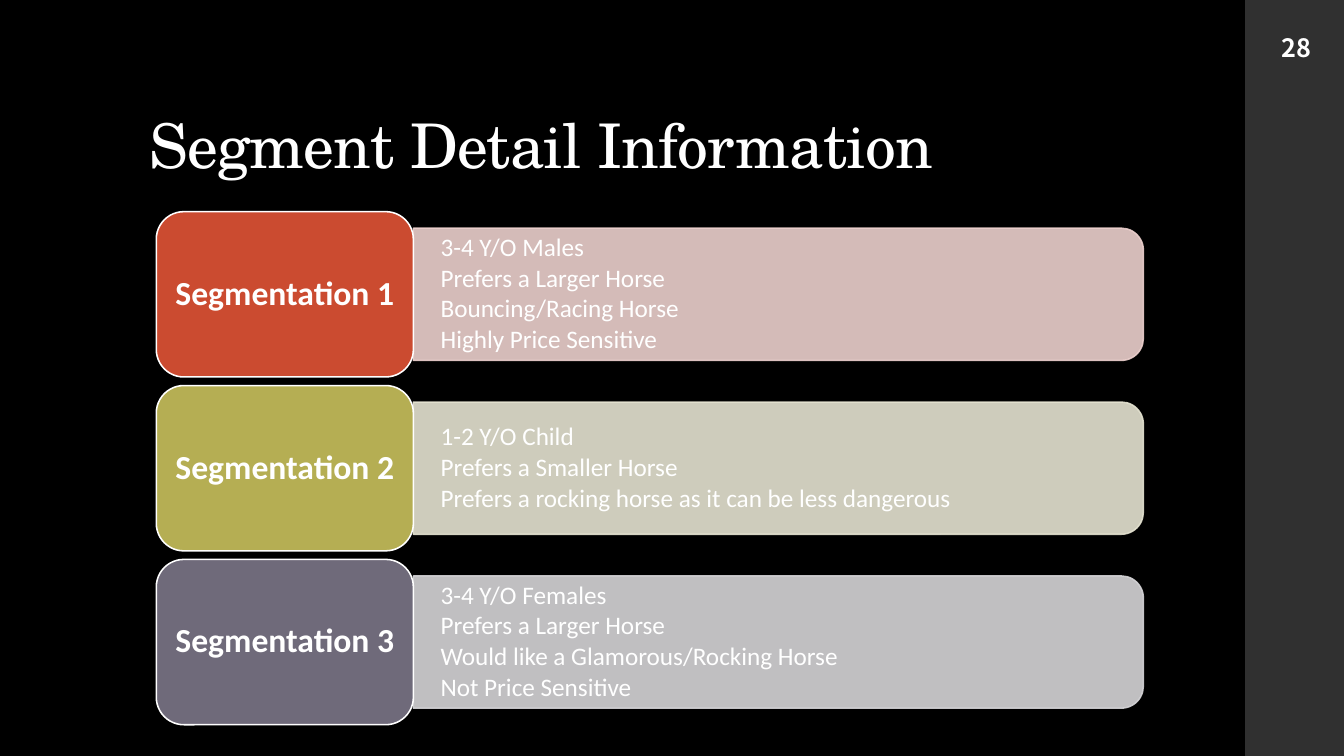
from lxml import etree
from pptx import Presentation
from pptx.dml.color import RGBColor
from pptx.enum.shapes import MSO_SHAPE
from pptx.enum.text import MSO_ANCHOR, PP_ALIGN
from pptx.oxml.ns import qn
from pptx.util import Inches, Pt

RECT = MSO_SHAPE.RECTANGLE
ROUND = MSO_SHAPE.ROUNDED_RECTANGLE
TAB = MSO_SHAPE.ROUND_2_SAME_RECTANGLE
TOP, MIDDLE, BOTTOM = MSO_ANCHOR.TOP, MSO_ANCHOR.MIDDLE, MSO_ANCHOR.BOTTOM
LEFT, CENTER = PP_ALIGN.LEFT, PP_ALIGN.CENTER
WHITE = "FFFFFF"

SEGMENTS = [
    ("Segmentation 1", "CB4B30", "ECD0CD",
     ["3-4 Y/O Males", "Prefers a Larger Horse",
      "Bouncing/Racing Horse", "Highly Price Sensitive"]),
    ("Segmentation 2", "B5AE53", "E5E3D1",
     ["1-2 Y/O Child", "Prefers a Smaller Horse",
      "Prefers a rocking horse as it can be less dangerous"]),
    ("Segmentation 3", "6F6A7A", "D5D4D7",
     ["3-4 Y/O Females", "Prefers a Larger Horse",
      "Would like a Glamorous/Rocking Horse", "Not Price Sensitive"]),
]


def color(code):
    return RGBColor.from_string(code)


def add_box(slide, kind, left, top, width, height, fill, line=None):
    shape = slide.shapes.add_shape(kind, Inches(left), Inches(top),
                                   Inches(width), Inches(height))
    shape.shadow.inherit = False
    shape.fill.solid()
    shape.fill.fore_color.rgb = color(fill)
    if line:
        shape.line.color.rgb = color(line)
        shape.line.width = Pt(1.1)
    else:
        shape.line.fill.background()
    return shape


def add_frame(slide, left, top, width, height):
    return slide.shapes.add_textbox(Inches(left), Inches(top), Inches(width),
                                    Inches(height)).text_frame


def write(frame, lines, size, font="Calibri", bold=False, align=LEFT,
          anchor=MIDDLE, after=0, space=0.9):
    frame.word_wrap = True
    frame.vertical_anchor = anchor
    for i, line in enumerate(lines):
        para = frame.paragraphs[0] if i == 0 else frame.add_paragraph()
        para.alignment = align
        para.line_spacing = space
        para.space_after = Pt(after)
        run = para.add_run()
        run.text = line
        run.font.name = font
        run.font.size = Pt(size)
        run.font.bold = bold
        run.font.color.rgb = color(WHITE)
    return frame


def fade(shape, percent):
    # Set the same opacity on fill and line
    for tone in shape.element.spPr.iter(qn("a:srgbClr")):
        etree.SubElement(tone, qn("a:alpha"), val=str(percent * 1000))


def add_title(slide, left, top, width, height, text):
    frame = add_frame(slide, left, top, width, height)
    write(frame, [text], 44, "TeX Gyre Schola", anchor=BOTTOM)
    props = frame.paragraphs[0].runs[0].font
    props.language_id = None
    frame.paragraphs[0].runs[0]._r.get_or_add_rPr().set("spc", "-50")


def add_side(slide, left, width, height, number):
    add_box(slide, RECT, left, 0, width, height, "303030")
    frame = add_frame(slide, left + 0.26, 0.27, 0.51, 0.4)
    write(frame, [number], 18, "Noto Sans CJK SC", True, anchor=TOP, space=1)


def add_segment(slide, left, top, width, height, segment):
    name, dark, pale, facts = segment
    label = 2.55
    depth = height * 0.8
    span = width - label
    middle = top + height / 2

    # Panel: a tall tab turned a quarter, so its round end faces right
    panel = add_box(slide, TAB, left + label + (span - depth) / 2,
                    middle - span / 2, depth, span, pale, pale)
    panel.rotation = 90
    fade(panel, 90)

    # Facts
    frame = add_frame(slide, left + label, middle - 0.59, span - 0.07, 1.18)
    frame.margin_left = frame.margin_right = Inches(0.27)
    frame.margin_top = frame.margin_bottom = Inches(0.14)
    write(frame, facts, 18, after=2.5)

    # Label
    box = add_box(slide, ROUND, left, top, label, height, dark, WHITE)
    write(box.text_frame, [name], 24, bold=True, align=CENTER)


def add_list(slide, left, top, width, height, segments):
    pitch = 1.725
    tall = height - pitch * (len(segments) - 1)
    for i, segment in enumerate(segments):
        add_segment(slide, left, top + i * pitch, width, tall, segment)


def main():
    deck = Presentation()
    deck.slide_width = Inches(13.33)
    deck.slide_height = Inches(7.5)
    slide = deck.slides.add_slide(deck.slide_layouts[6])
    slide.background.fill.solid()
    slide.background.fill.fore_color.rgb = color("000000")

    add_side(slide, 12.35, 1, 7.5, "28")
    add_list(slide, 1.55, 2.1, 9.79, 5.09, SEGMENTS)
    add_title(slide, 1.38, 0.4, 10.6, 1.45, "Segment Detail Information")
    deck.save("out.pptx")


if __name__ == "__main__":
    main()
